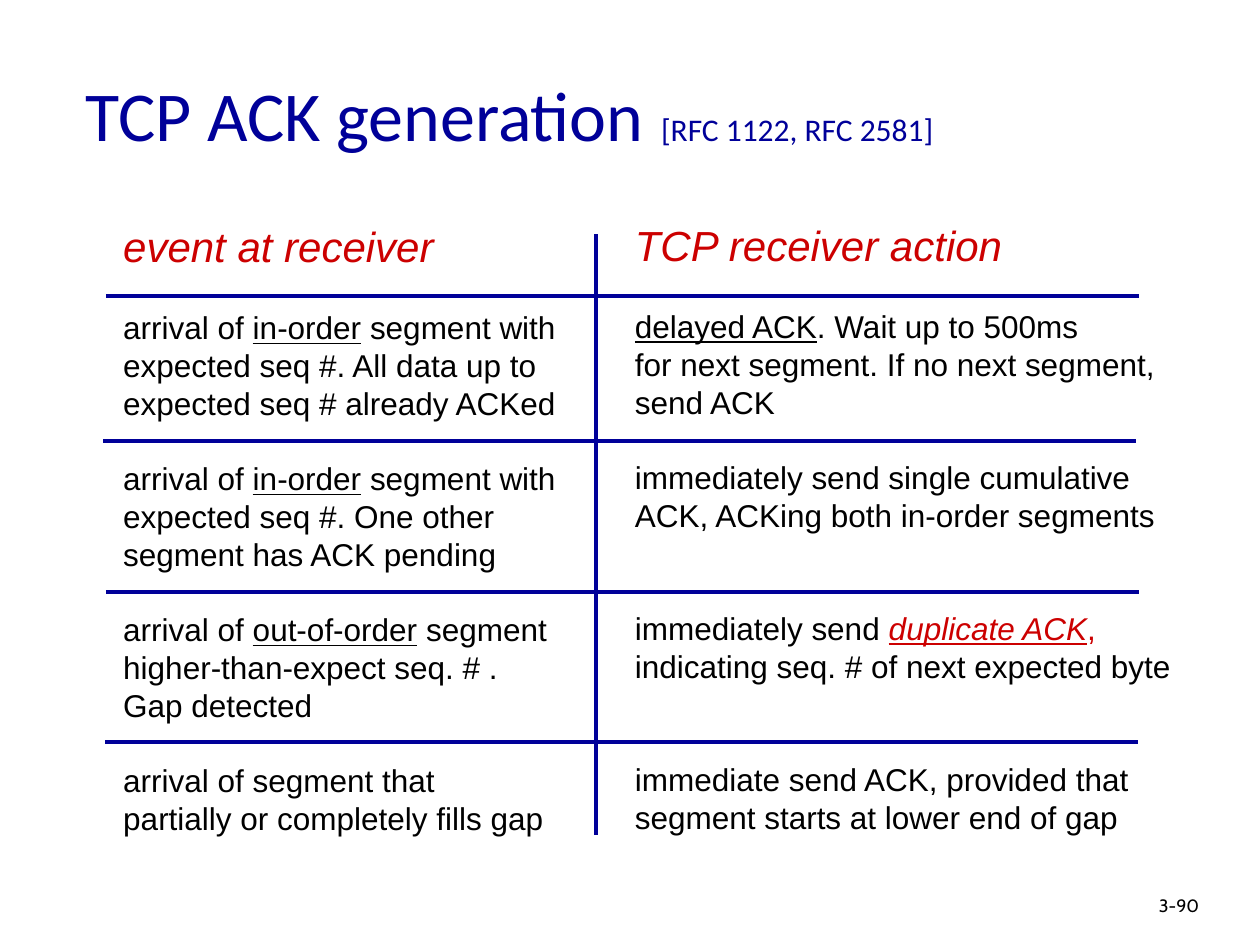
from lxml import etree
from pptx import Presentation
from pptx.dml.color import RGBColor
from pptx.enum import shapes, text
from pptx.oxml.ns import qn
from pptx.util import Inches, Pt

COLORS = {"navy": "000099", "red": "CC0000", "black": "000000"}

deck = Presentation()
deck.slide_width, deck.slide_height = Inches(10), Inches(7.5)
slide = deck.slides.add_slide(deck.slide_layouts[6])

# Grid of 100 columns by 75 rows
COL, ROW = deck.slide_width / 100, deck.slide_height / 75


def add_box(left, top, width, height, wrap):
    box = slide.shapes.add_textbox(
        round(left * COL), round(top * ROW), round(width * COL), round(height * ROW))
    box.text_frame.word_wrap = wrap
    return box.text_frame


def add_run(paragraph, words, size, color, font="Arial", style=""):
    run = paragraph.add_run()
    run.text = words
    run.font.name, run.font.size = font, Pt(size)
    run.font.color.rgb = RGBColor.from_string(COLORS[color])
    run.font.italic = "i" in style
    run.font.underline = "u" in style


# Title
title = add_box(5.8, 2.5, 85, 12.5, True)
title.vertical_anchor = text.MSO_ANCHOR.MIDDLE
for words, size in (("TCP ACK generation", 40), (" ", 44), ("[RFC 1122, RFC 2581]", 18)):
    add_run(title.paragraphs[0], words, size, "navy", "Calibri")

# Page number
page = add_box(91, 70.7, 7.4, 3, True).paragraphs[0]
page.line_spacing = 0.9
add_run(page, "3-90", 10.2, "black", "Cabin")

# Each column: left, top, width, heading, then rows of lines;
# a line is a list of (words, color, style) runs
K = "black"
columns = [
    (8.8, 17, 36.4, "event at receiver", [
        [[("arrival of ", K, ""), ("in-order", K, "u"), (" segment with", K, "")],
         [("expected seq #. All data up to", K, "")],
         [("expected seq # already ACKed", K, "")]],
        [[("arrival of ", K, ""), ("in-order", K, "u"), (" segment with", K, "")],
         [("expected seq #. One other", K, "")],
         [("segment has ACK pending", K, "")]],
        [[("arrival of ", K, ""), ("out-of-order", K, "u"), (" segment", K, "")],
         [("higher-than-expect seq. # .", K, "")],
         [("Gap detected", K, "")]],
        [[("arrival of segment that", K, "")],
         [("partially or completely fills gap", K, "")]],
    ]),
    (49.4, 16.9, 44.5, "TCP receiver action", [
        [[("delayed ACK", K, "u"), (". Wait up to 500ms", K, "")],
         [("for next segment. If no next segment,", K, "")],
         [("send ACK", K, "")]],
        [[("immediately send single cumulative", K, "")],
         [("ACK, ACKing both in-order segments", K, "")]],
        [[("immediately send ", K, ""), ("duplicate ACK", "red", "iu"), (",", "red", "")],
         [("indicating seq. # of next expected byte", K, "")]],
        [[("immediate send ACK, provided that", K, "")],
         [("segment starts at lower end of gap", K, "")]],
    ]),
]

# Every row takes four line pitches; unused ones become space before the next row
PITCH, HEADING_PITCH, LINES_PER_ROW = 21.57, 28.75, 4
for left, top, width, heading, rows in columns:
    frame = add_box(left, top, width, 56, False)
    frame.auto_size = text.MSO_AUTO_SIZE.SHAPE_TO_FIT_TEXT
    head = frame.paragraphs[0]
    head.line_spacing = Pt(HEADING_PITCH)
    add_run(head, heading, 24, "red", style="i")
    gap = 1
    for row in rows:
        for index, line in enumerate(row):
            paragraph = frame.add_paragraph()
            paragraph.line_spacing = Pt(PITCH)
            if index == 0:
                paragraph.space_before = Pt(gap * PITCH)
            for words, color, style in line:
                add_run(paragraph, words, 18, color, style=style)
        gap = LINES_PER_ROW - len(row)

# Rules: the column divider, then one under each row
rules = [(47.3, 18.6, 47.3, 66.3)]
rules += [(left, y, left + 82, y)
          for left, y in ((8.4, 23.5), (8.2, 35), (8.4, 47), (8.35, 58.9))]
for x1, y1, x2, y2 in rules:
    rule = slide.shapes.add_connector(
        shapes.MSO_CONNECTOR.STRAIGHT,
        round(x1 * COL), round(y1 * ROW), round(x2 * COL), round(y2 * ROW))
    rule.line.color.rgb = RGBColor.from_string(COLORS["navy"])
    rule.line.width = Pt(2.25)
    etree.SubElement(rule._element.spPr, qn("a:effectLst"))

deck.save("out.pptx")
